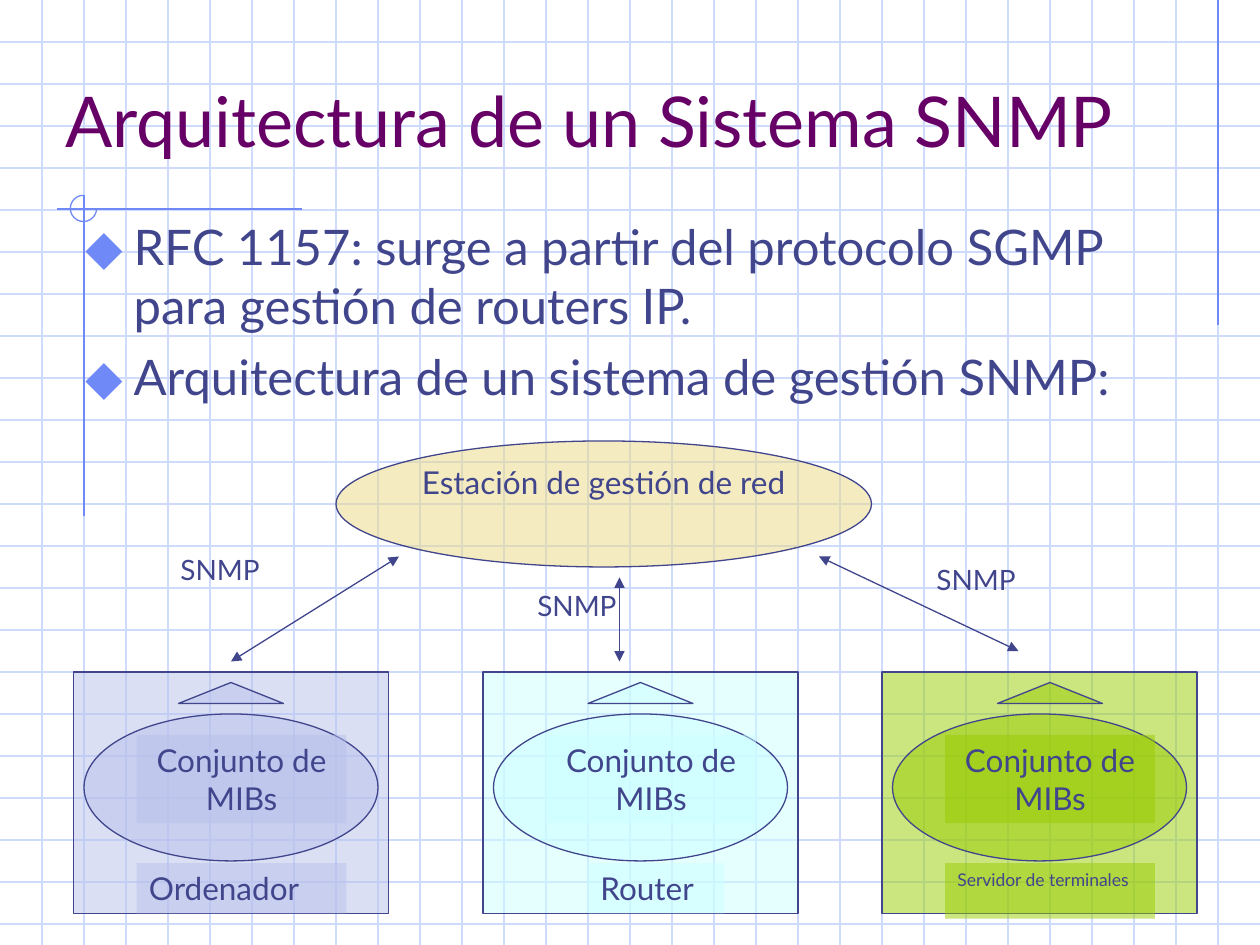
from lxml.etree import SubElement
from pptx import Presentation
from pptx.dml.color import RGBColor
from pptx.enum.shapes import MSO_CONNECTOR, MSO_SHAPE
from pptx.enum.text import MSO_ANCHOR, MSO_AUTO_SIZE, PP_ALIGN
from pptx.oxml.ns import qn
from pptx.util import Inches, Pt

COLS, ROWS, CELL = 120, 90, 4
INK, GRID, ACCENT, PLUM, SAND = "40458C", "CFDBFD", "6F89F7", "660066", "ECD882"
HOSTS = [
    (7, "B7C1EB", "Ordenador", 18, (6, 20, 4.8), 10),
    (46, "CCFFFF", "Router", 18, (10, 13, 4.8), 10),
    (84, "99CC00", "Servidor de terminales", 10, (6, 20, 5.3), 11),
]
LINKS = [((22, 63), (38, 53)), ((59, 55), (59, 63)), ((78, 53), (97, 62))]
TAGS = [(16, 52), (50, 55.5), (88, 53)]


def paint(code):
    return RGBColor.from_string(code)


def unit(num):
    return Inches(num / 12)


class Board:
    """Draws styled elements on a slide ruled in twelfths of an inch."""

    def __init__(self, deck):
        self.font = "Lato"
        self.weight = Pt(0.75)
        self.slide = deck.slides.add_slide(deck.slide_layouts[5])
        self.shapes = self.slide.shapes

    def words(self, para, text, size, color=INK, align=PP_ALIGN.LEFT):
        para.alignment = align
        run = para.add_run()
        run.text = text
        run.font.name = self.font
        run.font.size = Pt(size)
        run.font.color.rgb = paint(color)

    def line(self, start, end, color, arrows=False):
        link = self.shapes.add_connector(
            MSO_CONNECTOR.STRAIGHT, *map(unit, start + end))
        link.line.color.rgb = paint(color)
        link.line.width = self.weight
        props = link.element.spPr
        if arrows:
            for tip in ("a:headEnd", "a:tailEnd"):
                SubElement(props.find(qn("a:ln")), qn(tip), type="triangle")
        SubElement(props, qn("a:effectLst"))

    def shape(self, kind, box, fill=None, edge=INK):
        item = self.shapes.add_shape(kind, *map(unit, box))
        item.shadow.inherit = False
        if fill:
            item.fill.solid()
            item.fill.fore_color.rgb = paint(fill)
            tone = item.element.spPr.find(qn("a:solidFill"))[0]
            SubElement(tone, qn("a:alpha"), val="50000")
        else:
            item.fill.background()
        if edge:
            item.line.color.rgb = paint(edge)
            item.line.width = self.weight
        else:
            item.line.fill.background()
        return item

    def text(self, box, text, size, align=PP_ALIGN.LEFT, fill=None):
        if fill:
            item = self.shape(MSO_SHAPE.RECTANGLE, box, fill, None)
        else:
            item = self.shapes.add_textbox(*map(unit, box))
        frame = item.text_frame
        frame.word_wrap = True
        frame.vertical_anchor = MSO_ANCHOR.TOP
        self.words(frame.paragraphs[0], text, size, align=align)

    def title(self, box, text):
        item = self.shapes.title
        item.element.getparent().append(item.element)
        item.left, item.top, item.width, item.height = map(unit, box)
        frame = item.text_frame
        frame.auto_size = MSO_AUTO_SIZE.NONE
        frame.vertical_anchor = MSO_ANCHOR.BOTTOM
        self.words(frame.paragraphs[0], text, 40, PLUM)

    def bullets(self, box, texts):
        frame = self.shapes.add_textbox(*map(unit, box)).text_frame
        frame.word_wrap = True
        for num, text in enumerate(texts):
            para = frame.add_paragraph() if num else frame.paragraphs[0]
            self.words(para, text, 28)
            para.space_before = Pt(7)
            props = para._p.get_or_add_pPr()
            props.set("marL", str(Inches(0.38)))
            props.set("indent", str(Inches(-0.38)))
            tone = SubElement(props, qn("a:buClr"))
            SubElement(tone, qn("a:srgbClr"), val=ACCENT)
            SubElement(props, qn("a:buSzPct"), val="110000")
            SubElement(props, qn("a:buFont"), typeface=self.font)
            SubElement(props, qn("a:buChar"), char="⬥")

    def host(self, left, fill, name, size, label, roof):
        shift, width, height = label
        self.shape(MSO_SHAPE.RECTANGLE, (left, 64, 30, 23), fill)
        self.shape(MSO_SHAPE.OVAL, (left + 1, 68, 28, 14), fill)
        self.text((left + 6, 70, 20, 8.4), "Conjunto de MIBs", 18,
                  PP_ALIGN.CENTER, fill)
        self.text((left + shift, 82.2, width, height), name, size, fill=fill)
        self.shape(MSO_SHAPE.ISOSCELES_TRIANGLE, (left + roof, 65, 10, 2), fill)


def main():
    deck = Presentation()
    deck.slide_width, deck.slide_height = unit(COLS), unit(ROWS)
    board = Board(deck)

    for row in range(CELL, ROWS, CELL):
        board.line((0, row), (COLS, row), GRID)
    for col in range(CELL, COLS, CELL):
        board.line((col, 0), (col, ROWS), GRID)
    board.line((116, 0), (116, 31), ACCENT)
    board.line((28.8, 19.9), (5.4, 19.9), ACCENT)
    board.line((8, 18.6), (8, 49.1), ACCENT)
    ring = board.shape(MSO_SHAPE.ARC, (6.7, 18.6, 2.5, 2.5), edge=ACCENT)
    ring.adjustments[0], ring.adjustments[1] = 0, 162

    board.title((5, 7, 109, 9), "Arquitectura de un Sistema SNMP")
    board.bullets((7, 20, 109, 20), [
        "RFC 1157: surge a partir del protocolo SGMP para gestión de routers IP.",
        "Arquitectura de un sistema de gestión SNMP:",
    ])
    board.shape(MSO_SHAPE.OVAL, (32, 42, 51, 12), SAND)
    board.text((39, 43.5, 37, 8.4), "Estación de gestión de red", 18,
               PP_ALIGN.CENTER)
    for host in HOSTS:
        board.host(*host)
    for start, end in LINKS:
        board.line(start, end, INK, True)
    for left, top in TAGS:
        board.text((left, top, 10, 4.4), "SNMP", 16)
    deck.save("out.pptx")


if __name__ == "__main__":
    main()
